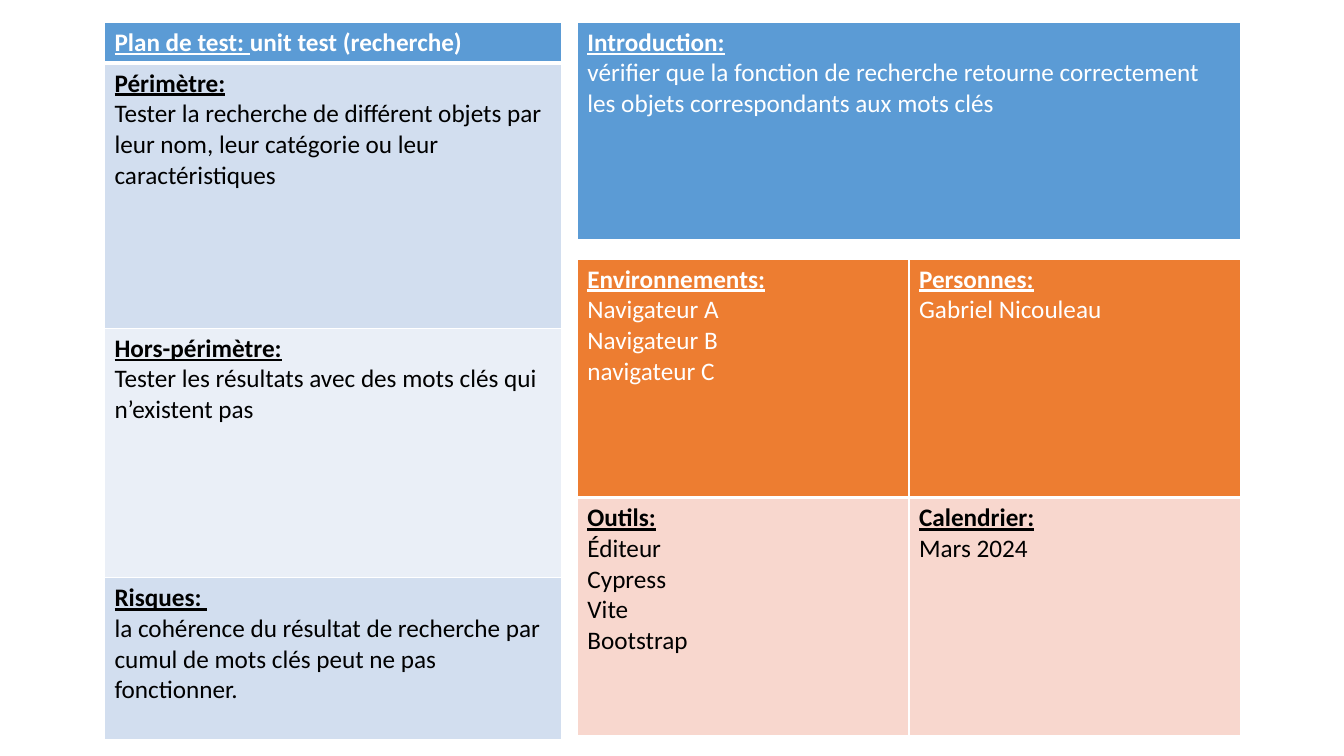
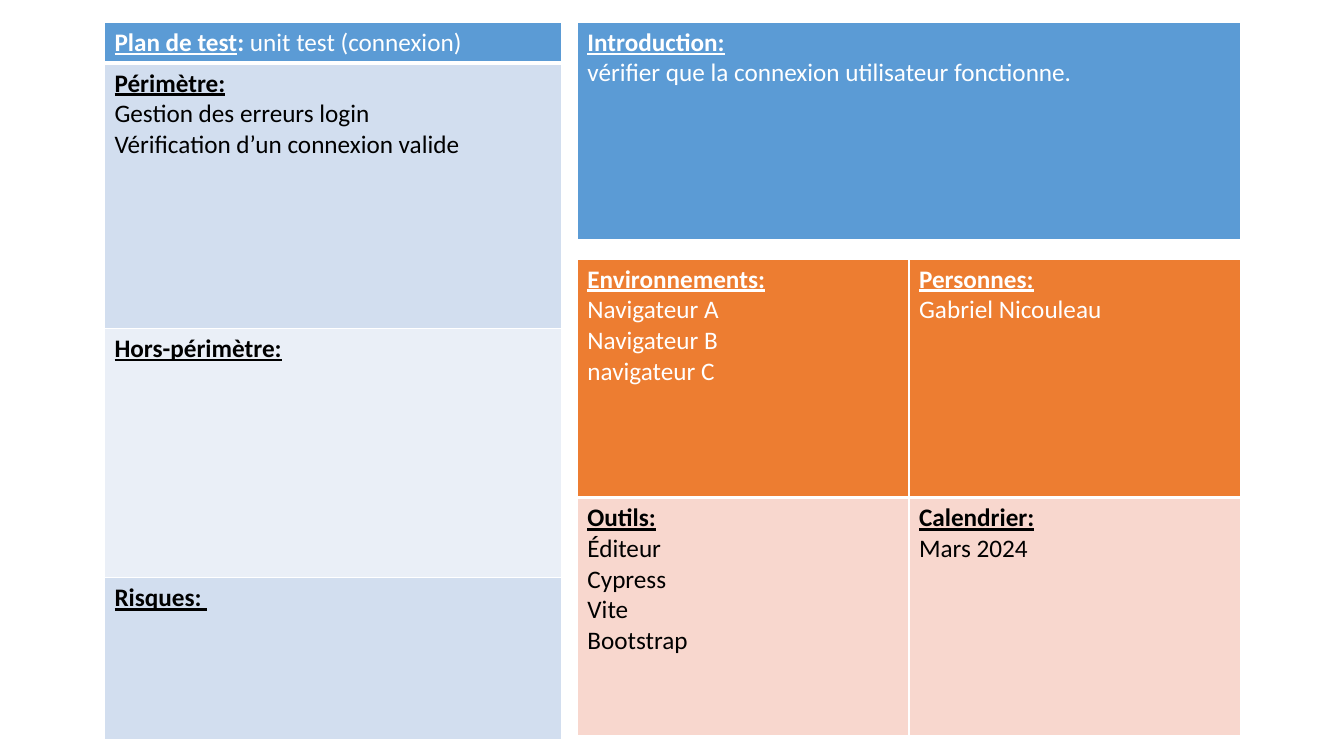
from pptx import Presentation
from pptx.dml.color import RGBColor
from pptx.oxml.ns import qn
from pptx.util import Pt
from lxml import etree

HUES = {
    "white": "FFFFFF",
    "black": "000000",
    "blue": "5B9BD5",
    "sky": "D2DEEF",
    "ice": "EAEFF7",
    "orange": "ED7D31",
    "peach": "F8D7CE",
}
FONT = "Calibri"
SIZE = 18
THIN, THICK = 1, 3
TOP = 15.8
LEFT, RIGHT = 74.6, 412.4
SLIM, WIDE = 326.8, 473.8
LOW = 185

TEAM = [
    [
        ("Environnements:", ["Navigateur A", "Navigateur B", "navigateur C"]),
        ("Personnes:", ["Gabriel Nicouleau"]),
    ],
    [
        ("Outils:", ["Éditeur", "Cypress", "Vite", "Bootstrap"]),
        ("Calendrier:", ["Mars 2024"]),
    ],
]

PLANS = [
    {
        "title": [("Plan de test: ", True, True), ("unit test (recherche)", True, False)],
        "scope": ["Tester la recherche de différent objets par leur nom, leur catégorie ou leur caractéristiques"],
        "beyond": ["Tester les résultats avec des mots clés qui n’existent pas"],
        "risks": ["la cohérence du résultat de recherche par cumul de mots clés peut ne pas fonctionner."],
        "intro": ["vérifier que la fonction de recherche retourne correctement les objets correspondants aux mots clés"],
    },
    {
        "title": [("Plan de test", True, True), (": ", True, False), ("unit test (connexion)", False, False)],
        "scope": ["Gestion des erreurs login", "Vérification d’un connexion valide"],
        "beyond": [],
        "risks": [],
        "intro": ["vérifier que la connexion utilisateur fonctionne."],
    },
]


def add_run(para, text, bold, under, hue):
    run = para.add_run()
    run.text = text
    font = run.font
    font.name = FONT
    font.size = Pt(SIZE)
    font.bold = bold
    font.underline = under
    font.color.rgb = RGBColor.from_string(HUES[hue])


def add_edge(props, side, width):
    line = etree.SubElement(props, qn(f"a:ln{side}"), w=str(Pt(width)))
    fill = etree.SubElement(line, qn("a:solidFill"))
    etree.SubElement(fill, qn("a:srgbClr"), val=HUES["white"])


def fill_cell(cell, head, lines, hue, row):
    props = cell._tc.get_or_add_tcPr()
    edges = {"L": THIN, "R": THIN, "T": THICK if row == 1 else THIN, "B": THIN if row else THICK}
    for side, width in edges.items():
        add_edge(props, side, width)
    cell.fill.solid()
    cell.fill.fore_color.rgb = RGBColor.from_string(HUES[hue])
    ink = "black" if row else "white"
    runs = [(head, True, True)] if isinstance(head, str) else head
    frame = cell.text_frame
    for text, bold, under in runs:
        add_run(frame.paragraphs[0], text, bold, under, ink)
    for text in lines:
        add_run(frame.add_paragraph(), text, False, False, ink)


def add_grid(slide, left, top, width, tall, hues, rows):
    count = len(rows[0])
    shape = slide.shapes.add_table(len(rows), count, Pt(left), Pt(top), Pt(width), Pt(sum(tall)))
    table = shape.table
    table.horz_banding = False
    for col in table.columns:
        col.width = Pt(width / count)
    for r, cells in enumerate(rows):
        table.rows[r].height = Pt(tall[r])
        for c, (head, lines) in enumerate(cells):
            fill_cell(table.cell(r, c), head, lines, hues[r], r)


def add_plan(deck, plan):
    slide = deck.slides.add_slide(deck.slide_layouts[6])
    scope = [
        [(plan["title"], [])],
        [("Périmètre:", plan["scope"])],
        [("Hors-périmètre:", plan["beyond"])],
        [("Risques: ", plan["risks"])],
    ]
    add_grid(slide, LEFT, TOP, SLIM, [26.6, 189.4, 178.2, 115.8], ["blue", "sky", "ice", "sky"], scope)
    add_grid(slide, RIGHT, TOP, WIDE, [156.2], ["blue"], [[("Introduction:", plan["intro"])]])
    add_grid(slide, RIGHT, LOW, WIDE, [170.4] * 2, ["orange", "peach"], TEAM)


def main():
    deck = Presentation()
    deck.slide_width = Pt(960)
    deck.slide_height = Pt(540)
    for plan in PLANS:
        add_plan(deck, plan)
    deck.save("out.pptx")


if __name__ == "__main__":
    main()
